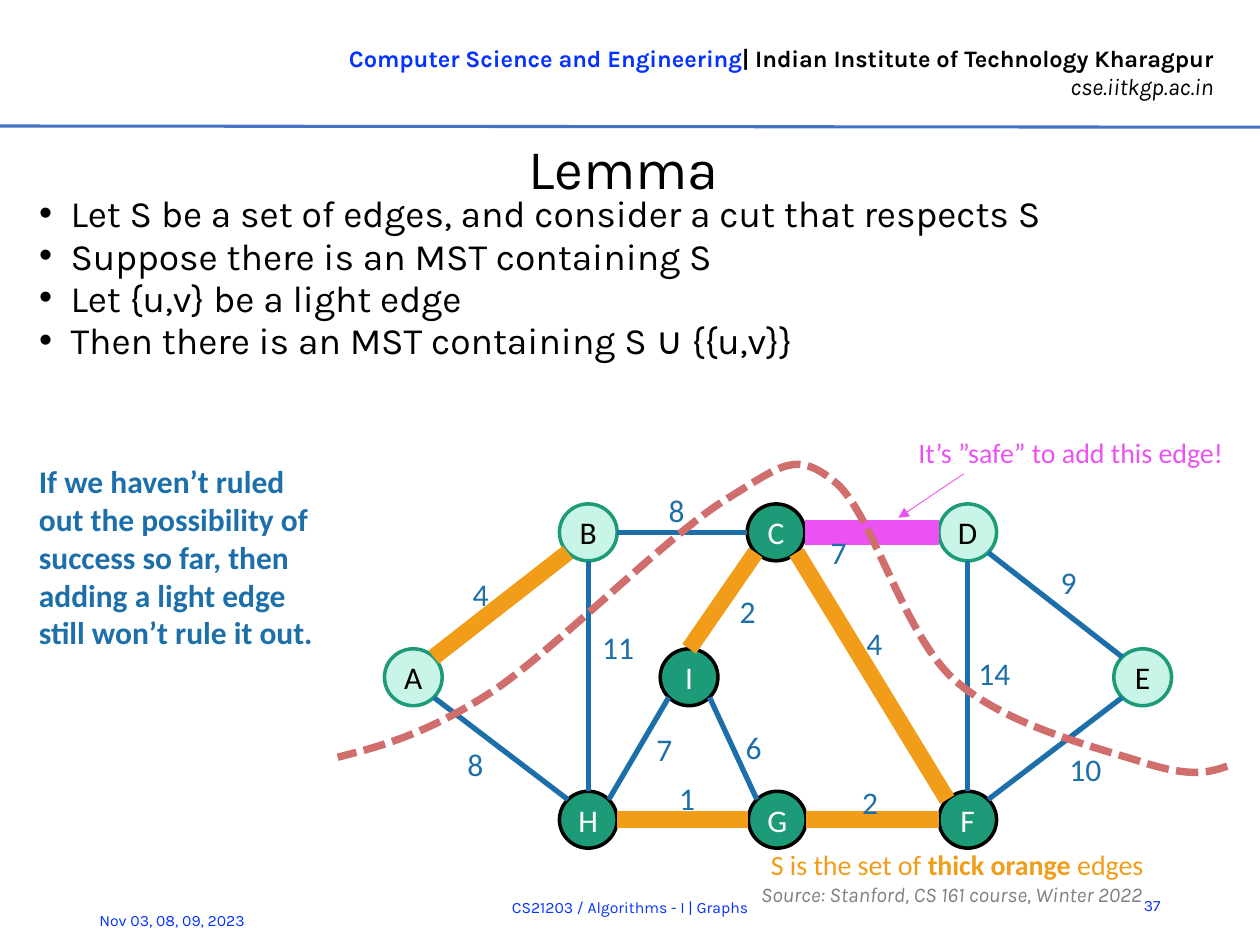
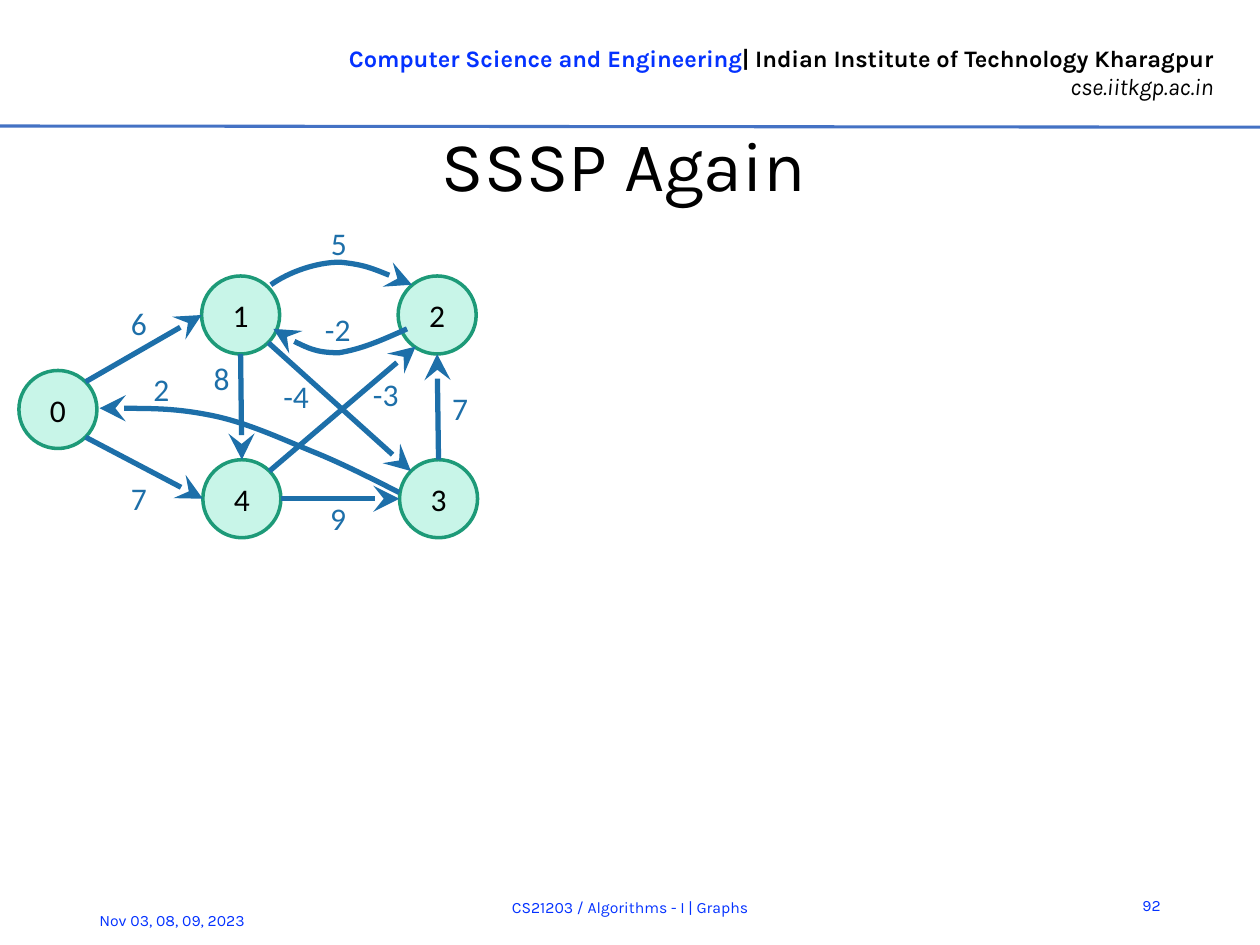
from lxml.etree import SubElement
from pptx import Presentation
from pptx.dml.color import RGBColor
from pptx.enum.dml import MSO_LINE
from pptx.enum.shapes import MSO_CONNECTOR, MSO_SHAPE
from pptx.enum.text import MSO_ANCHOR, MSO_AUTO_SIZE, PP_ALIGN
from pptx.oxml.ns import qn
from pptx.util import Pt

BLACK = RGBColor(0x00, 0x00, 0x00)
WHITE = RGBColor(0xFF, 0xFF, 0xFF)
GREY = RGBColor(0x80, 0x80, 0x80)
ROYAL = RGBColor(0x04, 0x32, 0xFF)
RULE = RGBColor(0x44, 0x72, 0xC4)
BLUE = RGBColor(0x1D, 0x6F, 0xA9)
MINT = RGBColor(0xC8, 0xF5, 0xE8)
GREEN = RGBColor(0x1D, 0x9A, 0x78)
AMBER = RGBColor(0xF1, 0x9D, 0x19)
PINK = RGBColor(0xEA, 0x53, 0xF1)
ROSE = RGBColor(0xCF, 0x6E, 0x6C)
KARLA, CALIBRI = "Karla", "Calibri"
LEFT, MID, RIGHT = PP_ALIGN.LEFT, PP_ALIGN.CENTER, PP_ALIGN.RIGHT

DEPT = "Computer Science and Engineering"
SCHOOL = "| Indian Institute of Technology Kharagpur"
SITE = "cse.iitkgp.ac.in"
DATE = "Nov 03, 08, 09, 2023"
COURSE = "CS21203 / Algorithms - I | Graphs"

LEMMA = [
    "Let S be a set of edges, and consider a cut that respects S",
    "Suppose there is an MST containing S",
    "Let {u,v} be a light edge",
    "Then there is an MST containing S ∪ {{u,v}}",
]
HOPE = ("If we haven’t ruled out the possibility of success so far, "
        "then adding a light edge still won’t rule it out.")
SAFE = "It’s ”safe” to add this edge!"
SOURCE = "Source: Stanford, CS 161 course, Winter 2022"
KEY = [("S is the set of ", False), ("thick orange ", True), ("edges", False)]

LIGHT, DARK = (MINT, GREEN, BLACK), (GREEN, BLACK, WHITE)
THIN, THICK, NEW = (BLUE, 3), (AMBER, 9.5), (PINK, 14)
TREE_NODES = {
    "A": (236.2, 387, LIGHT), "B": (336.2, 304.2, LIGHT),
    "C": (443.5, 304.2, DARK), "D": (553, 304.2, LIGHT),
    "E": (653, 387, LIGHT), "F": (553, 468.4, DARK),
    "G": (444.2, 468.4, DARK), "H": (336.2, 468.4, DARK),
    "I": (393.8, 387, DARK),
}
TREE_EDGES = [
    ("C", "se", "F", "nw", THICK, "4", 488, 353),
    ("C", "e", "D", "w", NEW, "7", 467.5, 301),
    ("E", "nw", "D", "se", THIN, "9", 599, 318),
    ("E", "sw", "F", "ne", THIN, "10", 604, 425),
    ("D", "s", "F", "n", THIN, "14", 552, 370),
    ("I", "se", "G", "nw", THIN, "6", 419, 412.5),
    ("G", "e", "F", "w", THICK, "2", 485.5, 444),
    ("I", "n", "C", "sw", THICK, "2", 415.5, 335),
    ("B", "e", "C", "w", THIN, "8", 375, 277),
    ("A", "ne", "B", "sw", THICK, "4", 263, 325),
    ("A", "se", "H", "nw", THIN, "8", 260, 422),
    ("G", "w", "H", "e", THICK, "1", 381, 441.5),
    ("I", "sw", "H", "ne", THIN, "7", 368, 413.5),
    ("H", "n", "B", "s", THIN, "11", 337, 355.5),
]
CUT = [
    (701.3, 437.8), (691.2, 441.4), (681.1, 444.2), (655.2, 436.3),
    (629.3, 427.7), (575.3, 415.4), (545, 388.1), (515.5, 361.4),
    (498.2, 291.6), (476.6, 275), (455, 257.8), (447.8, 265),
    (415.4, 285.1), (383, 304.6), (319, 369.4), (282.2, 394.6),
    (244.8, 419), (218.9, 426.2), (193, 432.7),
]

PATH_NODES = {
    "0": (33.1, 234, LIGHT), "1": (137.5, 180, LIGHT),
    "2": (249.8, 180, LIGHT), "3": (250.6, 285, LIGHT),
    "4": (138.2, 285, LIGHT),
}
PATH_EDGES = [
    ("0", "ne", "1", "w", THIN, "6", 67.7, 170),
    ("0", "se", "4", "w", THIN, "7", 67.7, 270),
    ("1", "s", "4", "n", THIN, "8", 115, 201.6),
    ("4", "e", "3", "w", THIN, "9", 181.5, 281.5),
    ("3", "n", "2", "s", THIN, "7", 251.3, 219),
    ("4", "ne", "2", "ssw", THIN, "-3", 206, 211),
    ("1", "se", "3", "nw", THIN, "-4", 154.8, 211.7),
]
ARCS = [
    ("2", 80.6, 208, [
        (228.2, 281.5), (213.8, 274.3), (198.7, 266.4), (181.4, 259.2),
        (163.4, 252), (142.6, 241.9), (121.7, 237.6),
        (100.8, 233.3), (79.2, 233.3), (56.9, 233.3)]),
    ("5", 182, 124.6, [
        (154.8, 162.7), (164.9, 155.5), (180.7, 149.8), (194.4, 149.8),
        (208.1, 151.2), (218.9, 155.5), (235.4, 162.7)]),
    ("-2", 178.6, 173.5, [
        (232.6, 187.9), (216.7, 195.1), (206.6, 199.4), (193.7, 201.6),
        (180.7, 201.6), (165.6, 195.1), (156.2, 187.9)]),
]
PORTS = {
    "n": (0, -1), "s": (0, 1), "e": (1, 0), "w": (-1, 0),
    "ne": (0.71, -0.71), "nw": (-0.71, -0.71),
    "se": (0.71, 0.71), "sw": (-0.71, 0.71), "ssw": (-0.55, 0.81),
}


def style(para, size, hue, face, align=LEFT, bold=False, slant=False):
    para.alignment = align
    font = para.font
    font.size, font.name = Pt(size), face
    font.bold, font.italic = bold, slant
    font.color.rgb = hue


def place(shape, box):
    shape.left, shape.top, shape.width, shape.height = map(Pt, box)


def note(slide, box, text, size, hue, face=CALIBRI, anchor=MSO_ANCHOR.TOP,
         **look):
    frame = slide.shapes.add_textbox(*map(Pt, box)).text_frame
    frame.word_wrap, frame.vertical_anchor = True, anchor
    frame.text = text
    for para in frame.paragraphs:
        style(para, size, hue, face, **look)
    return frame


def stroke(shape, hue, width, tip=None, size="lg"):
    shape.line.color.rgb, shape.line.width = hue, Pt(width)
    if tip:
        SubElement(shape.line._get_or_add_ln(), qn("a:tailEnd"),
                   type=tip, w=size, len=size)


def link(slide, start, end, hue, width, **tip):
    line = slide.shapes.add_connector(
        MSO_CONNECTOR.STRAIGHT, *map(Pt, (*start, *end)))
    stroke(line, hue, width, **tip)
    SubElement(line._element.spPr, qn("a:effectLst"))


def curve(slide, points, hue, width, tip=None):
    """Draw a chain of cubic Bézier segments."""
    spots = [(Pt(x), Pt(y)) for x, y in points]
    pen = slide.shapes.build_freeform(*spots[0])
    pen.add_line_segments(spots[1:], close=False)
    shape = pen.convert_to_shape()
    steps = list(shape._element.iter(qn("a:lnTo")))
    for i in range(0, len(steps), 3):
        first, *rest = steps[i:i + 3]
        first.tag = qn("a:cubicBezTo")
        for step in rest:
            first.append(step[0])
            step.getparent().remove(step)
    shape.fill.background()
    shape.shadow.inherit = False
    stroke(shape, hue, width, tip)
    return shape


def graph(slide, nodes, edges, wide, high, tip=None):
    for name, (x, y, (fill, edge, ink)) in nodes.items():
        disc = slide.shapes.add_shape(MSO_SHAPE.OVAL, *map(
            Pt, (x - wide / 2, y - high / 2, wide, high)))
        disc.shadow.inherit = False
        disc.fill.solid()
        disc.fill.fore_color.rgb = fill
        stroke(disc, edge, 2)
        frame = disc.text_frame
        frame.margin_left = frame.margin_right = 0
        frame.margin_top = frame.margin_bottom = 0
        frame.vertical_anchor = MSO_ANCHOR.MIDDLE
        frame.text = name
        style(frame.paragraphs[0], 18, ink, CALIBRI, MID)

    def port(name, side):
        (x, y, _), (dx, dy) = nodes[name], PORTS[side]
        return x + dx * wide / 2, y + dy * high / 2

    for u, out, v, into, pen, cost, x, y in edges:
        link(slide, port(u, out), port(v, into), *pen, tip=tip)
        weigh(slide, cost, x, y)


def weigh(slide, cost, x, y):
    note(slide, (x, y, 46, 27), cost, 18, BLUE)


def begin(deck, layout, title, box, size, page):
    slide = deck.slides.add_slide(deck.slide_layouts[layout])
    head = note(slide, (160, 21.6, 540.5, 40), DEPT + "\n" + SITE, 13.5,
                BLACK, KARLA, align=RIGHT)
    top, site = head.paragraphs
    top.font.bold, site.font.italic = True, True
    top.runs[0].font.color.rgb = ROYAL
    top.add_run().text = SCHOOL
    link(slide, (0, 72), (720, 72.7), RULE, 1.75)
    for spot, text, align in [
        ((635, 502.6, 35.3, 28.8), page, RIGHT),
        ((49.7, 511.2, 126, 28.8), DATE, LEFT),
        ((118.8, 504, 482.4, 28.8), COURSE, MID),
    ]:
        note(slide, spot, text, 9, ROYAL, KARLA, MSO_ANCHOR.MIDDLE,
             align=align)
    name = slide.shapes.title
    place(name, box)
    frame = name.text_frame
    frame.text = title
    frame.margin_left = frame.margin_right = frame.margin_bottom = 0
    frame.margin_top = Pt(0.7)
    frame.vertical_anchor = MSO_ANCHOR.MIDDLE
    frame.auto_size = MSO_AUTO_SIZE.NONE
    style(frame.paragraphs[0], size, BLACK, KARLA, MID)
    return slide


def lemma(deck):
    slide = begin(deck, 1, "Lemma", (23, 75.6, 666.7, 39.6), 32, "37")
    body = slide.placeholders[1]
    place(body, (15.1, 110.9, 674.6, 103.7))
    frame = body.text_frame
    frame.auto_size = MSO_AUTO_SIZE.NONE
    frame.text = "\n".join(LEMMA)
    for i, para in enumerate(frame.paragraphs):
        props = para._p.get_or_add_pPr()
        props.set("marL", str(Pt(18)))
        props.set("indent", str(Pt(-18)))
        para.line_spacing, para.space_after = Pt(20), Pt(2)
        para.space_before = Pt(2 if i else 0)
        style(para, 21.3, BLACK, KARLA)
    cite = note(slide, (427.7, 499, 289.4, 16.6), SOURCE, 12, GREY, KARLA,
                MSO_ANCHOR.MIDDLE, slant=True)
    cite.paragraphs[0].line_spacing = Pt(21.3)
    key = note(slide, (433.4, 481, 262.8, 26.6), "", 16, AMBER)
    for text, bold in KEY:
        run = key.paragraphs[0].add_run()
        run.text, run.font.bold = text, bold
    graph(slide, TREE_NODES, TREE_EDGES, 33, 32.5)
    curve(slide, CUT, ROSE, 4.25).line.dash_style = MSO_LINE.SQUARE_DOT
    note(slide, (517.7, 245.5, 196.6, 26.6), SAFE, 16, PINK)
    link(slide, (550.8, 270.7), (513.4, 295.9), PINK, 0.5,
         tip="triangle", size="med")
    note(slide, (15.1, 260.6, 174.2, 138.2), HOPE, 18, BLUE, bold=True)


def paths(deck):
    slide = begin(deck, 5, "SSSP Again", (23, 68.4, 666.7, 49), 40, "92")
    graph(slide, PATH_NODES, PATH_EDGES, 44.6, 44.6, "stealth")
    for cost, x, y, points in ARCS:
        curve(slide, points, *THIN, "stealth")
        weigh(slide, cost, x, y)


def main():
    deck = Presentation()
    deck.slide_width, deck.slide_height = Pt(720), Pt(540)
    lemma(deck)
    paths(deck)
    deck.save("out.pptx")


if __name__ == "__main__":
    main()
